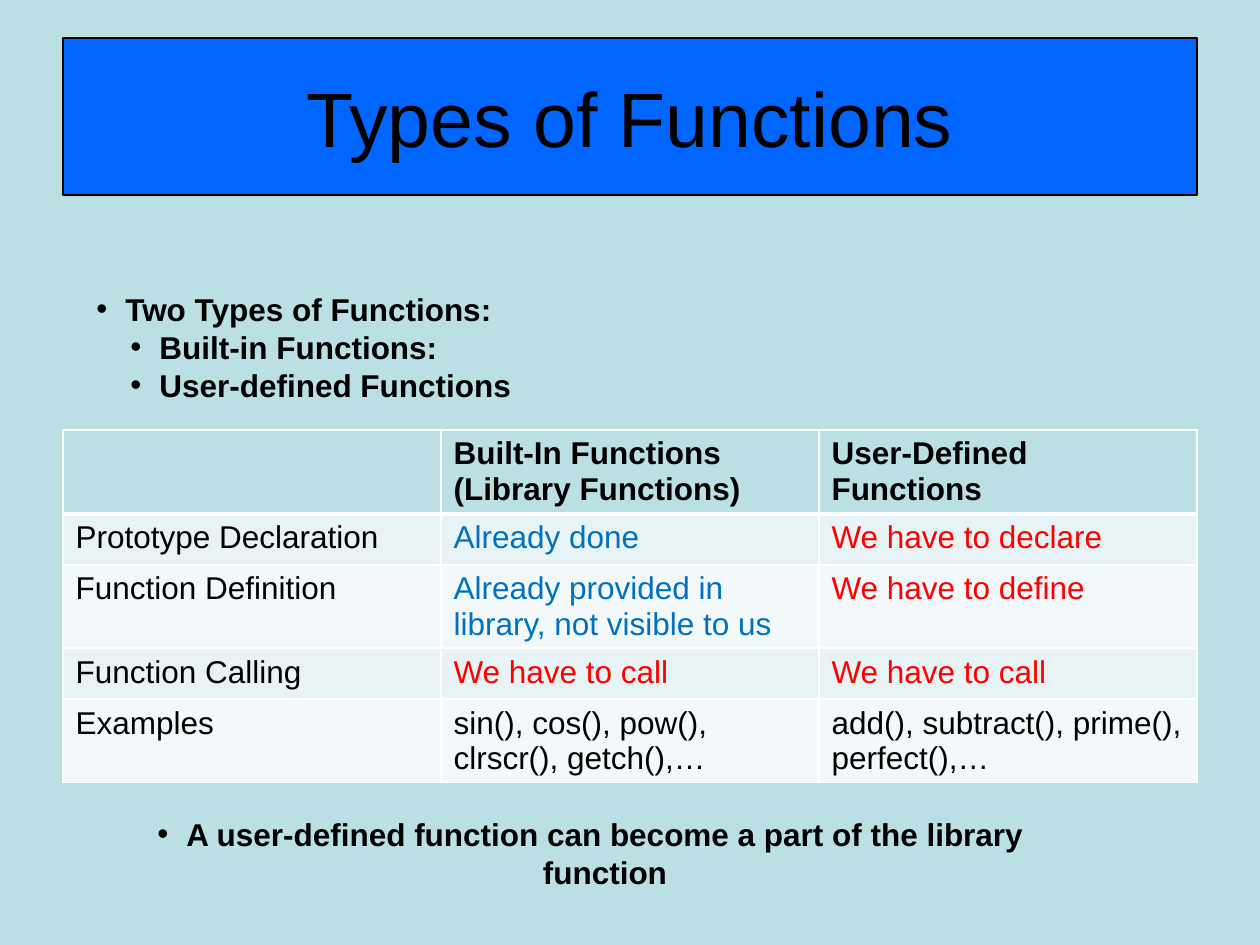
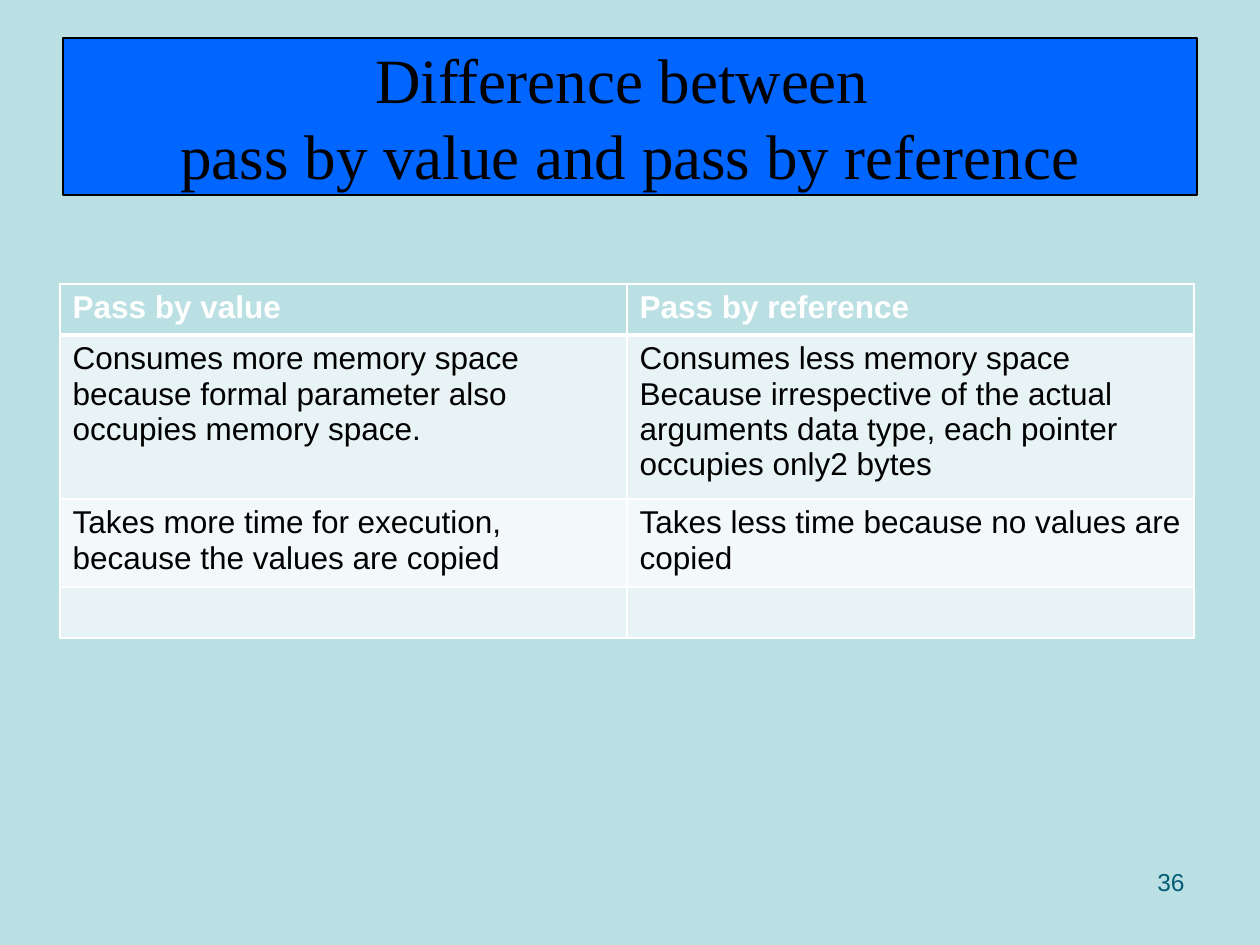
from dataclasses import dataclass

from lxml import etree
from pptx import Presentation
from pptx import util as u
from pptx.dml.color import RGBColor
from pptx.enum import shapes, text
from pptx.oxml import ns

PX_PER_INCH = 126


@dataclass(frozen=True)
class Theme:
    # Colours
    background: str = "BBE0E3"
    band: str = "0066FF"
    ink: str = "000000"
    white: str = "FFFFFF"
    odd_row: str = "E7F3F4"
    even_row: str = "F3F9FA"
    done: str = "0070C0"
    to_do: str = "FF0000"
    page_number: str = "045C75"
    # Type
    sans: str = "Arial"
    serif: str = "Times New Roman"
    body_size: int = 18
    page_size: int = 14
    # Table rules, in points
    rule: int = 1
    header_rule: int = 3


THEME = Theme()


def px(length):
    return u.Emu(round(length * 914400 / PX_PER_INCH))


def box(*lengths):
    return [px(length) for length in lengths]


def rgb(colour):
    return RGBColor.from_string(colour)


def style(paragraph, size=THEME.body_size, colour=THEME.ink, bold=False,
          face=THEME.sans):
    font = paragraph.font
    font.name, font.size, font.bold = face, u.Pt(size), bold
    font.color.rgb = rgb(colour)


def add_slide(deck):
    slide = deck.slides.add_slide(deck.slide_layouts[6])
    slide.background.fill.solid()
    slide.background.fill.fore_color.rgb = rgb(THEME.background)
    return slide


def add_title(slide, wording, size, face):
    band = slide.shapes.add_shape(shapes.MSO_SHAPE.RECTANGLE,
                                  *box(63, 38, 1134, 157))
    band.shadow.inherit = False
    band.fill.solid()
    band.fill.fore_color.rgb = rgb(THEME.band)
    band.line.color.rgb = rgb(THEME.ink)
    band.line.width = u.Pt(0.75)
    frame = band.text_frame
    frame.word_wrap = True
    frame.vertical_anchor = text.MSO_ANCHOR.MIDDLE
    heading = frame.paragraphs[0]
    heading.text = wording
    heading.alignment = text.PP_ALIGN.CENTER
    style(heading, size, face=face)


def add_bullet(paragraph, left, hang=29):
    properties = paragraph._p.get_or_add_pPr()
    properties.set("marL", str(px(left)))
    properties.set("indent", str(-px(hang)))
    etree.SubElement(properties, ns.qn("a:buFont"), typeface=THEME.sans)
    etree.SubElement(properties, ns.qn("a:buChar"), char="•")


def add_bullets(slide, place, points, alignment=text.PP_ALIGN.LEFT):
    """Each point is a pair of wording and left indent."""
    frame = slide.shapes.add_textbox(*box(*place)).text_frame
    frame.word_wrap = True
    frame.text = "\n".join(wording for wording, _ in points)
    for point, (_, left) in zip(frame.paragraphs, points):
        add_bullet(point, left)
        point.alignment = alignment
        style(point, bold=True)


def add_page_number(slide, number):
    frame = slide.shapes.add_textbox(*box(903, 861, 294, 66)).text_frame
    frame.word_wrap = True
    page = frame.paragraphs[0]
    page.text = str(number)
    page.alignment = text.PP_ALIGN.RIGHT
    style(page, THEME.page_size, THEME.page_number)


def rule_cell(cell, top, bottom):
    properties = cell._tc.get_or_add_tcPr()
    widths = {"L": THEME.rule, "R": THEME.rule, "T": top, "B": bottom}
    for position, (side, width) in enumerate(widths.items()):
        line = etree.Element(ns.qn(f"a:ln{side}"), w=str(u.Pt(width)))
        fill = etree.SubElement(line, ns.qn("a:solidFill"))
        etree.SubElement(fill, ns.qn("a:srgbClr"), val=THEME.white)
        properties.insert(position, line)


def add_comparison(slide, left, top, column_width, row_heights, rows,
                   header_colour, colours=None):
    """colours maps (row, column) to a text colour other than ink."""
    colours = colours or {}
    columns = len(rows[0])
    table = slide.shapes.add_table(
        len(rows), columns,
        *box(left, top, column_width * columns, sum(row_heights))).table
    table.first_row = table.horz_banding = False
    for column in table.columns:
        column.width = px(column_width)
    for r, (height, wordings) in enumerate(zip(row_heights, rows)):
        table.rows[r].height = px(height)
        header = r == 0
        if header:
            row_fill = THEME.background
        else:
            row_fill = THEME.odd_row if r % 2 else THEME.even_row
        for c, wording in enumerate(wordings):
            cell = table.cell(r, c)
            cell.fill.solid()
            cell.fill.fore_color.rgb = rgb(row_fill)
            rule_cell(cell,
                      top=THEME.header_rule if r == 1 else THEME.rule,
                      bottom=THEME.header_rule if header else THEME.rule)
            cell.text = wording
            colour = header_colour if header else colours.get((r, c), THEME.ink)
            for paragraph in cell.text_frame.paragraphs:
                style(paragraph, colour=colour, bold=header)


def build_function_types(deck):
    slide = add_slide(deck)
    add_title(slide, "Types of Functions", 44, THEME.sans)
    rows = [
        ["", "Built-In Functions\n(Library Functions)", "User-Defined Functions"],
        ["Prototype Declaration", "Already done", "We have to declare"],
        ["Function Definition", "Already provided in library, not visible to us",
         "We have to define"],
        ["Function Calling", "We have to call", "We have to call"],
        ["Examples", "sin(), cos(), pow(), clrscr(), getch(),…",
         "add(), subtract(), prime(),\nperfect(),…"],
    ]
    # What the library does is blue, what the programmer does is red
    colours = {(r, c): THEME.done if rows[r][c].startswith("Already")
               else THEME.to_do for r in (1, 2, 3) for c in (1, 2)}
    add_comparison(slide, 63, 430, 378, [84, 51, 83, 51, 83], rows,
                   THEME.ink, colours)
    add_bullets(slide, (84, 284, 470, 127),
                [("Two Types of Functions:", 29),
                 ("Built-in Functions:", 63),
                 ("User-defined Functions", 63)])
    add_bullets(slide, (87, 809, 1007, 50),
                [("A user-defined function can become a part of the "
                  "library function", 29)],
                text.PP_ALIGN.CENTER)


def build_passing_difference(deck):
    slide = add_slide(deck)
    rows = [
        ["Pass by value", "Pass by reference"],
        ["Consumes more memory space\n"
         "because formal parameter also occupies memory space.",
         "Consumes less memory space\nBecause irrespective of the actual\n"
         "arguments data type, each pointer occupies only2 bytes"],
        ["Takes more time for execution, because the values are copied",
         "Takes less time because no values are copied"],
        ["", ""],
    ]
    add_comparison(slide, 60, 284, 567, [51, 164, 88, 51], rows, THEME.white)
    add_title(slide, "Difference between \npass by value and pass by reference",
              36, THEME.serif)
    add_page_number(slide, 36)


def main():
    deck = Presentation()
    deck.slide_width, deck.slide_height = box(1260, 945)
    build_function_types(deck)
    build_passing_difference(deck)
    deck.save("out.pptx")


if __name__ == "__main__":
    main()
